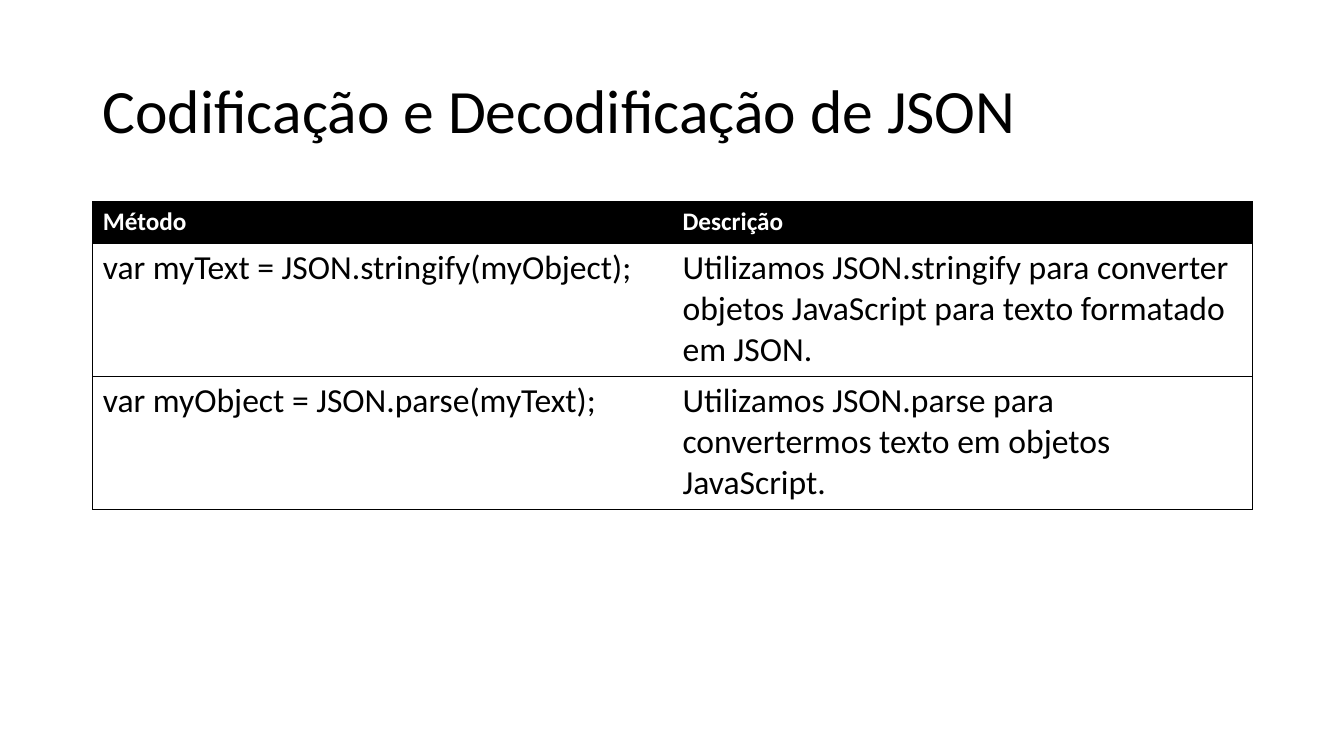
from lxml import etree
from pptx import Presentation
from pptx.dml.color import RGBColor
from pptx.enum.text import MSO_ANCHOR
from pptx.oxml.ns import qn
from pptx.util import Inches, Pt

BLACK = RGBColor(0x00, 0x00, 0x00)
WHITE = RGBColor(0xFF, 0xFF, 0xFF)
FONT = "Calibri"
MIDDLE = MSO_ANCHOR.MIDDLE
BLANK_LAYOUT = 6

TITLE = "Codificação e Decodificação de JSON"
METHODS = [
    ("Método", "Descrição"),
    ("var myText = JSON.stringify(myObject);",
     "Utilizamos JSON.stringify para converter objetos JavaScript "
     "para texto formatado em JSON."),
    ("var myObject = JSON.parse(myText);",
     "Utilizamos JSON.parse para convertermos texto em objetos JavaScript."),
]
HEADER_HEIGHT = 0.41
BODY_HEIGHT = 1.32


def style_paragraph(paragraph, size, color, bold=False):
    font = paragraph.font
    font.name = FONT
    font.size = Pt(size)
    font.bold = bold
    font.color.rgb = color


def add_title(page, left, top, width, height):
    box = page.shapes.add_textbox(
        Inches(left), Inches(top), Inches(width), Inches(height))
    frame = box.text_frame
    frame.word_wrap = True
    frame.vertical_anchor = MIDDLE
    frame.text = TITLE
    paragraph = frame.paragraphs[0]
    paragraph.line_spacing = 0.9
    style_paragraph(paragraph, 44, BLACK)


def set_borders(cell, visible_sides):
    properties = cell._tc.get_or_add_tcPr()
    for side in "LRTB":
        line = etree.SubElement(properties, qn(f"a:ln{side}"), w=str(Pt(0.5)))
        if side in visible_sides:
            fill = etree.SubElement(line, qn("a:solidFill"))
            etree.SubElement(fill, qn("a:srgbClr"), val=str(BLACK))
        else:
            etree.SubElement(line, qn("a:noFill"))


def add_method_table(page, left, top, width):
    row_count, column_count = len(METHODS), len(METHODS[0])
    height = HEADER_HEIGHT + BODY_HEIGHT * (row_count - 1)
    table = page.shapes.add_table(
        row_count, column_count,
        Inches(left), Inches(top), Inches(width), Inches(height)).table
    for column in table.columns:
        column.width = Inches(width / column_count)

    for row_index, texts in enumerate(METHODS):
        is_header = row_index == 0
        table.rows[row_index].height = Inches(
            HEADER_HEIGHT if is_header else BODY_HEIGHT)
        for column_index, text in enumerate(texts):
            cell = table.cell(row_index, column_index)
            # Outer frame and row rules, with no line between the columns
            set_borders(cell, "LTB" if column_index == 0 else "RTB")
            cell.fill.solid()
            cell.fill.fore_color.rgb = BLACK if is_header else WHITE
            cell.text = text
            paragraph = cell.text_frame.paragraphs[0]
            if is_header:
                style_paragraph(paragraph, 18, WHITE, bold=True)
            else:
                style_paragraph(paragraph, 24, BLACK)


def main():
    deck = Presentation()
    deck.slide_width = Inches(13.33)
    deck.slide_height = Inches(7.5)
    page = deck.slides.add_slide(deck.slide_layouts[BLANK_LAYOUT])
    add_title(page, 0.92, 0.4, 11.5, 1.45)
    add_method_table(page, 0.92, 2, 11.5)
    deck.save("out.pptx")


if __name__ == "__main__":
    main()
